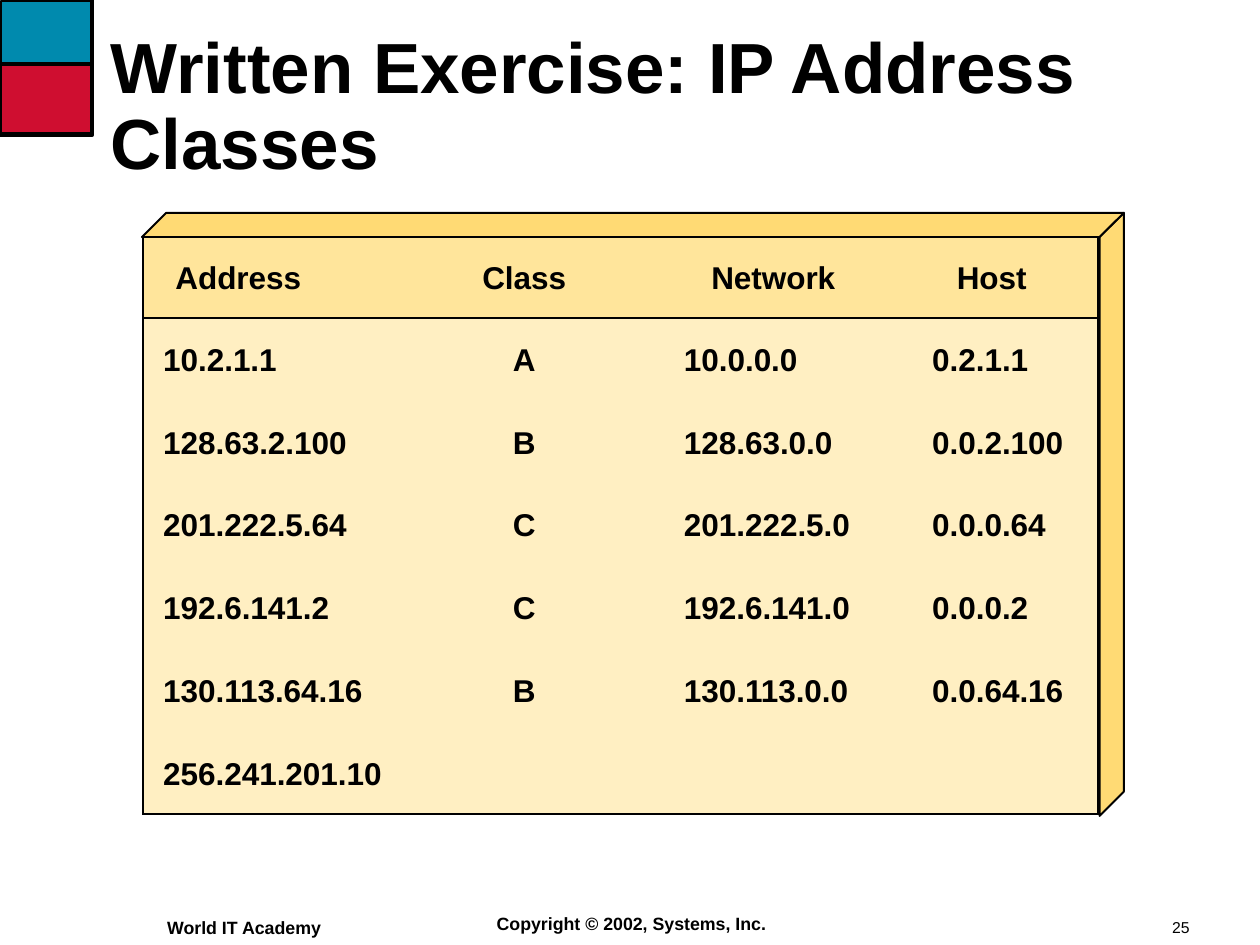
import dataclasses

import pptx
import pptx.dml.color
import pptx.enum.shapes
import pptx.enum.text
import pptx.oxml
import pptx.oxml.ns
import pptx.util

ALIGN = pptx.enum.text.PP_ALIGN
ANCHOR = pptx.enum.text.MSO_ANCHOR
NS = pptx.oxml.ns.nsdecls("a")


@dataclasses.dataclass(frozen=True)
class Theme:
    font: str = "Arial"
    ink: str = "000000"
    blue: str = "008AAE"
    red: str = "CF0E30"
    body: str = "FFEFC2"
    header: str = "FFE59B"
    edge: str = "FFDA74"
    title_size: float = 36
    table_size: float = 16
    footer_size: float = 9
    number_size: float = 8
    thin: float = 1
    thick: float = 2


def rgb(value):
    return pptx.dml.color.RGBColor.from_string(value)


def assign(target, values):
    for name, value in values.items():
        setattr(target, name, value)


class SlideBuilder:
    """Draws on one slide; all lengths are percentages of the slide's size."""

    def __init__(self, deck, theme):
        self.deck, self.theme = deck, theme
        self.slide = deck.slides.add_slide(deck.slide_layouts[5])
        self.shapes = self.slide.shapes

    def x(self, share):
        return round(self.deck.slide_width * share / 100)

    def y(self, share):
        return round(self.deck.slide_height * share / 100)

    def box(self, left, top, width, height):
        return self.x(left), self.y(top), self.x(width), self.y(height)

    def set_text(self, frame, text, size, bold=True, align=ALIGN.LEFT, spacing=None):
        paragraph = frame.paragraphs[0]
        paragraph.text = text
        assign(paragraph, {"alignment": align, "line_spacing": spacing})
        font = paragraph.runs[0].font
        assign(font, {"name": self.theme.font, "size": pptx.util.Pt(size), "bold": bold})
        font.color.rgb = rgb(self.theme.ink)

    def paint(self, shape, fill, weight):
        shape.shadow.inherit = False
        if fill:
            shape.fill.solid()
            shape.fill.fore_color.rgb = rgb(fill)
        else:
            shape.fill.background()
        shape.line.color.rgb = rgb(self.theme.ink)
        shape.line.width = pptx.util.Pt(weight)

    def title(self, text, area):
        holder = self.shapes.title
        assign(holder, dict(zip(("left", "top", "width", "height"), self.box(*area))))
        self.frame(holder.text_frame, 0.08, 0.04, ANCHOR.MIDDLE, True)
        self.set_text(holder.text_frame, text, self.theme.title_size, spacing=0.9)

    def frame(self, frame, side, end, anchor, wrap):
        side, end = pptx.util.Inches(side), pptx.util.Inches(end)
        assign(frame, {"margin_left": side, "margin_right": side,
                       "margin_top": end, "margin_bottom": end,
                       "vertical_anchor": anchor, "word_wrap": wrap,
                       "auto_size": pptx.enum.text.MSO_AUTO_SIZE.NONE})

    def text(self, text, area, size, margins=(0.1, 0.05), wrap=False, **style):
        frame = self.shapes.add_textbox(*self.box(*area)).text_frame
        self.frame(frame, *margins, ANCHOR.TOP, wrap)
        self.set_text(frame, text, size, **style)

    def rectangle(self, area, fill):
        kind = pptx.enum.shapes.MSO_SHAPE.RECTANGLE
        self.paint(self.shapes.add_shape(kind, *self.box(*area)), fill, self.theme.thin)

    def line(self, start, end):
        kind = pptx.enum.shapes.MSO_CONNECTOR.STRAIGHT
        line = self.shapes.add_connector(
            kind, self.x(start[0]), self.y(start[1]), self.x(end[0]), self.y(end[1]))
        line.line.color.rgb = rgb(self.theme.ink)
        line.line.width = pptx.util.Pt(self.theme.thick)
        line._element.spPr.append(pptx.oxml.parse_xml(f"<a:effectLst {NS}/>"))

    def outline(self, points, fill=None, weight=1):
        points = [(self.x(across), self.y(down)) for across, down in points]
        builder = self.shapes.build_freeform(*points[0])
        builder.add_line_segments(points[1:], close=bool(fill))
        self.paint(builder.convert_to_shape(), fill, weight)

    def borders(self, cell, drawn):
        properties = cell._tc.get_or_add_tcPr()
        for index, side in enumerate("LRTB"):
            fill = (f'<a:solidFill><a:srgbClr val="{self.theme.ink}"/></a:solidFill>'
                    if side in drawn else "<a:noFill/>")
            width = pptx.util.Pt(self.theme.thin)
            properties.insert(index, pptx.oxml.parse_xml(
                f'<a:ln{side} {NS} w="{width}">{fill}</a:ln{side}>'))

    def table(self, rows, area, edges, header_height, header_layout, body_layout):
        count, last = len(edges) - 1, len(rows) - 1
        grid = self.shapes.add_table(len(rows), count, *self.box(*area)).table
        assign(grid, {"first_row": False, "horz_banding": False})
        for column, left, right in zip(grid.columns, edges, edges[1:]):
            column.width = self.x(right - left)
        for r, values in enumerate(rows):
            height = (area[3] - header_height) / last if r else header_height
            grid.rows[r].height = self.y(height)
            for c, value in enumerate(values):
                cell = grid.cell(r, c)
                align, left, right = (body_layout if r else header_layout)[c]
                assign(cell, {"margin_left": pptx.util.Inches(left),
                              "margin_right": pptx.util.Inches(right),
                              "margin_top": pptx.util.Inches(0.03),
                              "margin_bottom": 0, "vertical_anchor": ANCHOR.MIDDLE})
                cell.fill.solid()
                cell.fill.fore_color.rgb = rgb(self.theme.body if r else self.theme.header)
                sides = {"L": c == 0, "R": c == count - 1,
                         "T": r <= 1, "B": r in (0, last)}
                self.borders(cell, [side for side, shown in sides.items() if shown])
                if value:
                    self.set_text(cell.text_frame, value, self.theme.table_size,
                                  align=align, spacing=0.95)


ADDRESSES = [
    ("Address", "Class", "Network", "Host"),
    ("10.2.1.1", "A", "10.0.0.0", "0.2.1.1"),
    ("128.63.2.100", "B", "128.63.0.0", "0.0.2.100"),
    ("201.222.5.64", "C", "201.222.5.0", "0.0.0.64"),
    ("192.6.141.2", "C", "192.6.141.0", "0.0.0.2"),
    ("130.113.64.16", "B", "130.113.0.0", "0.0.64.16"),
    ("256.241.201.10", "", "", ""),
]


def main():
    deck = pptx.Presentation()
    assign(deck, {"slide_width": pptx.util.Inches(8.88),
                  "slide_height": pptx.util.Inches(6.66)})
    theme = Theme()
    page = SlideBuilder(deck, theme)

    # Corner emblem
    page.rectangle((0.11, 0.15, 7.09, 10.2), theme.blue)
    page.rectangle((0.11, 6.9, 7.09, 7.2), theme.red)
    page.line((7.32, 6.76), (0, 6.76))
    page.outline([(0, 14.26), (7.32, 14.26), (7.32, 0)], weight=theme.thick)

    # Title
    page.title("Written Exercise: IP Address Classes", (7.88, 3.15, 87.16, 16.67))

    # Raised edges of the panel
    left, right, top, bottom = 11.26, 87.27, 25.08, 86.34
    shift_x, shift_y = 1.92, 2.56
    back_right, back_top = right + shift_x, top - shift_y
    page.outline([(back_right, back_top), (right, top), (right, bottom),
                  (back_right, bottom - shift_y)], theme.edge)
    page.outline([(left, top), (left + shift_x, back_top),
                  (back_right, back_top), (right, top)], theme.edge)

    # Address table: alignment, left and right margin of each column
    column_edges = (11.37, 30.74, 52.48, 70.27, 87.16)
    centred = (ALIGN.CENTER, 0, 0)
    page.table(ADDRESSES, (column_edges[0], top, 75.79, 61.11), column_edges, 8.55,
               [(ALIGN.CENTER, 0, 0.38), centred, centred, centred],
               [(ALIGN.LEFT, 0.14, 0), centred,
                (ALIGN.LEFT, 0.16, 0), (ALIGN.LEFT, 0.33, 0)])

    # Footer
    page.text("25", (92.12, 96.55, 7.55, 3.15), theme.number_size,
              margins=(0.08, 0.04), bold=False)
    page.text("Copyright © 2002, Systems, Inc.", (38.4, 95.8, 23.42, 3.6),
              theme.footer_size, align=ALIGN.CENTER)
    page.text("World IT Academy", (12.16, 96.25, 14.86, 3.75),
              theme.footer_size, wrap=True)

    deck.save("out.pptx")


if __name__ == "__main__":
    main()
